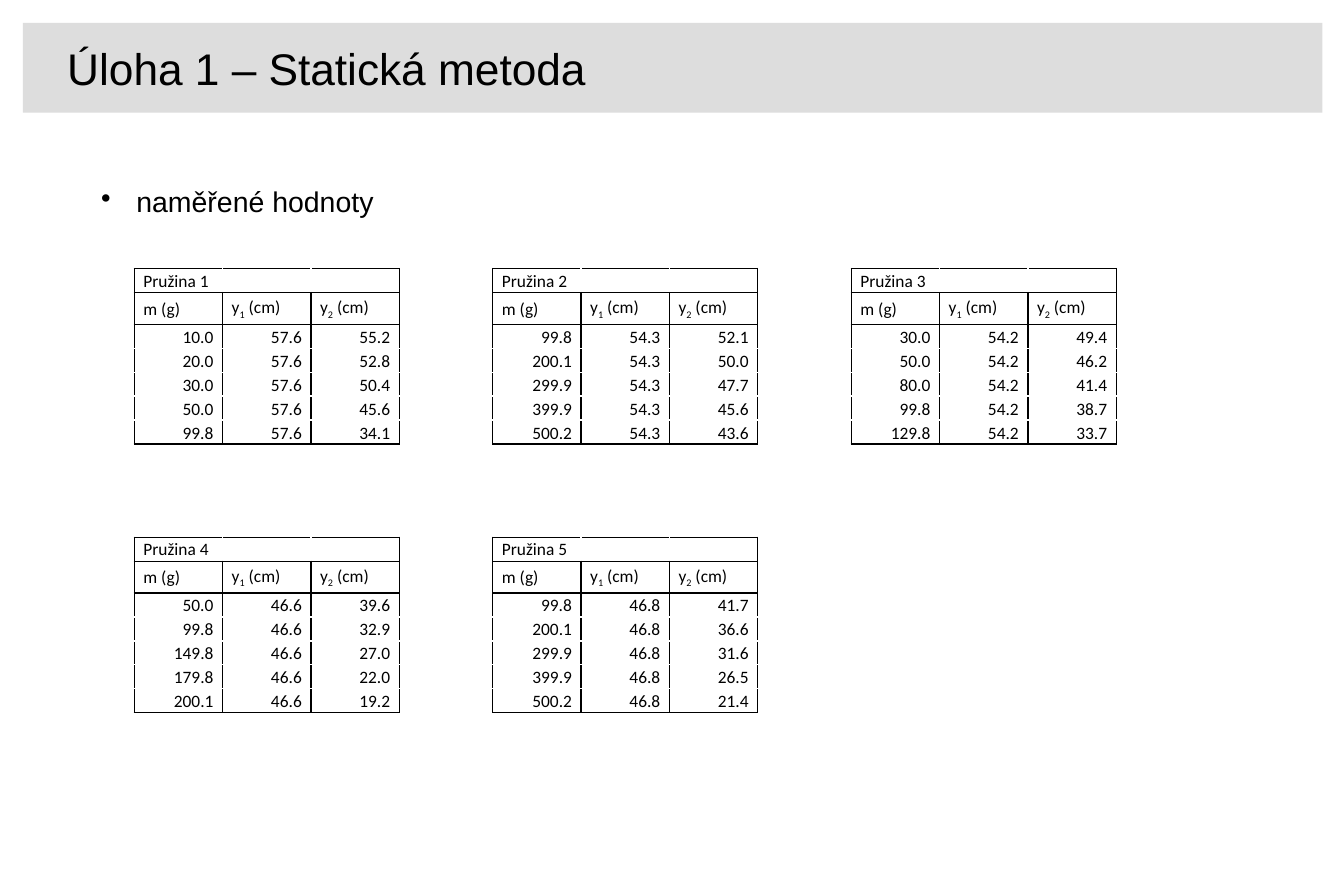
from lxml import etree
from pptx import Presentation
from pptx import util as u
from pptx.dml.color import RGBColor
from pptx.enum import shapes, text
from pptx.oxml import ns

COLORS = {"ink": "000000", "paper": "FFFFFF", "band": "DDDDDD"}
HEADERS = [("m (g)",), ("y", "1", " (cm)"), ("y", "2", " (cm)")]
ROW_HEIGHTS = [0.21, 0.28] + [0.21] * 5
COLUMN_WIDTH = 2.33 / 3
# For each spring: masses, the constant y1, and the y2 readings
SPRINGS = [
    ([10.0, 20.0, 30.0, 50.0, 99.8], 57.6, [55.2, 52.8, 50.4, 45.6, 34.1]),
    ([99.8, 200.1, 299.9, 399.9, 500.2], 54.3, [52.1, 50.0, 47.7, 45.6, 43.6]),
    ([30.0, 50.0, 80.0, 99.8, 129.8], 54.2, [49.4, 46.2, 41.4, 38.7, 33.7]),
    ([50.0, 99.8, 149.8, 179.8, 200.1], 46.6, [39.6, 32.9, 27.0, 22.0, 19.2]),
    ([99.8, 200.1, 299.9, 399.9, 500.2], 46.8, [41.7, 36.6, 31.6, 26.5, 21.4]),
]


def color(name):
    return RGBColor.from_string(COLORS[name])


def set_font(para, size, name):
    para.font.size = u.Pt(size)
    para.font.name = name
    para.font.color.rgb = color("ink")


def add_title(slide, title):
    band = slide.shapes.add_shape(
        shapes.MSO_SHAPE.RECTANGLE,
        u.Inches(0.2), u.Inches(0.2), u.Inches(11.42), u.Inches(0.79))
    band.shadow.inherit = False
    band.fill.solid()
    band.fill.fore_color.rgb = color("band")
    band.line.fill.background()
    frame = band.text_frame
    frame.margin_left = u.Inches(0.39)
    frame.vertical_anchor = text.MSO_ANCHOR.MIDDLE
    para = frame.paragraphs[0]
    para.text = title
    para.alignment = text.PP_ALIGN.LEFT
    set_font(para, 28, "Arial")


def add_bullet(slide, wording):
    box = slide.shapes.add_textbox(
        u.Inches(0.79), u.Inches(1.57), u.Inches(10.24), u.Inches(0.4))
    box.text_frame.word_wrap = True
    para = box.text_frame.paragraphs[0]
    para.text = wording
    properties = para._p.get_or_add_pPr()
    properties.set("marL", str(u.Inches(0.31)))
    properties.set("indent", str(u.Inches(-0.31)))
    etree.SubElement(properties, ns.qn("a:buChar")).set("char", "•")
    set_font(para, 18, "Arial")


def set_borders(cell, sides):
    """Draw 1 pt borders; sides maps L, R, T and B to colour names."""
    properties = cell._tc.get_or_add_tcPr()
    for position, side in enumerate("LRTB"):
        line = etree.Element(ns.qn(f"a:ln{side}"), w=str(u.Pt(1)))
        fill = etree.SubElement(line, ns.qn("a:solidFill"))
        etree.SubElement(fill, ns.qn("a:srgbClr")).set("val", COLORS[sides[side]])
        properties.insert(position, line)


def border_sides(row, column):
    """Open the title row inside, and the data rows between each other."""
    sides = dict.fromkeys("LRTB", "ink")
    if row == 0:
        if column > 0:
            sides["L"] = "paper"
        if column < 2:
            sides["R"] = "paper"
    if row > 2:
        sides["T"] = "paper"
    if 2 <= row < len(ROW_HEIGHTS) - 1:
        sides["B"] = "paper"
    return sides


def fill_cell(cell, parts, alignment, anchor):
    """Write the parts of a label; the second part is a subscript."""
    cell.fill.background()
    cell.margin_left = cell.margin_right = u.Inches(0.08)
    cell.margin_top, cell.margin_bottom = u.Inches(0.01), 0
    cell.vertical_anchor = anchor
    para = cell.text_frame.paragraphs[0]
    para.alignment = alignment
    set_font(para, 11, "Calibri")
    for index, part in enumerate(parts):
        span = para.add_run()
        span.text = part
        if index == 1:
            span.font._element.set("baseline", "-25000")
    if not parts:
        etree.SubElement(para._p, ns.qn("a:endParaRPr")).set("sz", "1100")


def add_spring_table(slide, number, left, top, anchor):
    masses, start, readings = SPRINGS[number - 1]
    rows = [[(f"Pružina {number}",), (), ()], HEADERS]
    rows += [[(f"{value:.1f}",) for value in (mass, start, reading)]
             for mass, reading in zip(masses, readings)]
    table = slide.shapes.add_table(
        len(rows), 3, u.Inches(left), u.Inches(top),
        u.Inches(3 * COLUMN_WIDTH), u.Inches(sum(ROW_HEIGHTS))).table
    table.first_row = table.horz_banding = False
    for column in table.columns:
        column.width = u.Inches(COLUMN_WIDTH)
    for row, (height, labels) in enumerate(zip(ROW_HEIGHTS, rows)):
        table.rows[row].height = u.Inches(height)
        alignment = text.PP_ALIGN.RIGHT if row > 1 else text.PP_ALIGN.LEFT
        row_anchor = text.MSO_ANCHOR.MIDDLE if row == 1 else anchor
        for column, parts in enumerate(labels):
            cell = table.cell(row, column)
            fill_cell(cell, parts, alignment, row_anchor)
            set_borders(cell, border_sides(row, column))


def main():
    deck = Presentation()
    deck.slide_width, deck.slide_height = u.Inches(11.81), u.Inches(7.87)
    slide = deck.slides.add_slide(deck.slide_layouts[6])
    add_title(slide, "Úloha 1 – Statická metoda")
    add_bullet(slide, "naměřené hodnoty")
    anchors = [text.MSO_ANCHOR.BOTTOM, text.MSO_ANCHOR.MIDDLE]
    for index in range(len(SPRINGS)):
        line, place = divmod(index, 3)
        add_spring_table(slide, index + 1, 1.18 + 3.15 * place,
                         2.36 + 2.36 * line, anchors[line])
    deck.save("out.pptx")


if __name__ == "__main__":
    main()
